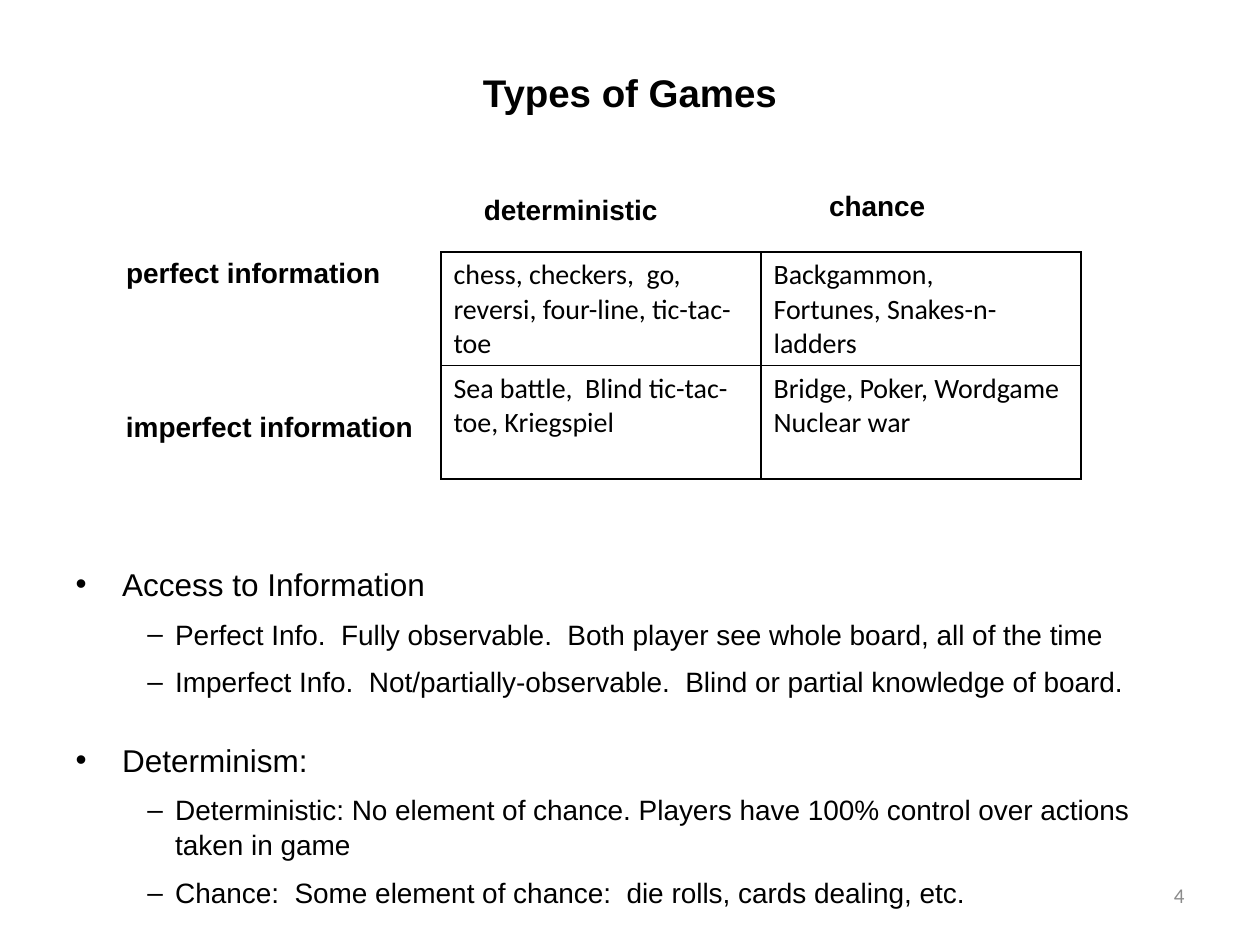
from lxml.etree import SubElement
from pptx import Presentation
from pptx.dml.color import RGBColor
from pptx.enum.text import MSO_ANCHOR, MSO_AUTO_SIZE, PP_ALIGN
from pptx.oxml.ns import qn
from pptx.util import Inches, Pt

TITLE = "Types of Games"
LABELS = [
    ("deterministic", 3.84, 1.53, 1.43),
    ("chance", 6.58, 1.5, 0.8),
    ("perfect information", 1, 2.03, 2.08),
    ("imperfect information", 1, 3.25, 2.34),
]
GAMES = [
    ["chess, checkers,  go, reversi, four-line, tic-tac-toe",
     "Backgammon,\vFortunes, Snakes-n-ladders"],
    ["Sea battle,  Blind tic-tac-toe, Kriegspiel",
     "Bridge, Poker, Wordgame\vNuclear war"],
]
TOPICS = [
    ("Access to Information", [
        "Perfect Info.  Fully observable.  Both player see whole board, all of the time",
        "Imperfect Info.  Not/partially-observable.  Blind or partial knowledge of board.",
    ]),
    ("Determinism:", [
        "Deterministic: No element of chance. Players have 100% control over actions taken in game",
        "Chance:  Some element of chance:  die rolls, cards dealing, etc.",
    ]),
]
PAGE_NUMBER = "4"
LEVELS = [
    {"size": 18, "margin": 0.37, "indent": -0.37, "bullet": "•"},
    {"size": 16, "margin": 0.79, "indent": -0.22, "bullet": "–"},
]
TOPIC_GAP, POINT_GAP = 23, 7.2
COLUMN_WIDTH, ROW_HEIGHT = 2.54, 0.9
BLACK, GRAY = "000000", "8B8B8B"


def color(value):
    return RGBColor.from_string(value)


def place(shape, left, top, width, height):
    shape.left, shape.top = Inches(left), Inches(top)
    shape.width, shape.height = Inches(width), Inches(height)


def add_text(paragraph, text, size, font="Arial", ink=BLACK, bold=False):
    for index, line in enumerate(text.split("\v")):
        if index:
            paragraph.add_line_break()
        run = paragraph.add_run()
        run.text = line
        run.font.name = font
        run.font.size = Pt(size)
        run.font.bold = bold
        run.font.color.rgb = color(ink)


def add_label(slide, text, left, top, width):
    box = slide.shapes.add_textbox(
        Inches(left), Inches(top), Inches(width), Inches(0.27))
    frame = box.text_frame
    frame.margin_left = frame.margin_right = 0
    frame.margin_top = frame.margin_bottom = 0
    add_text(frame.paragraphs[0], text, 16, bold=True)


def add_item(paragraph, text, level, gap):
    style = LEVELS[level]
    paragraph.level = level
    paragraph.space_before = Pt(gap)
    paragraph.line_spacing = 1.05
    properties = paragraph._p.get_or_add_pPr()
    properties.set("marL", str(Inches(style["margin"])))
    properties.set("indent", str(Inches(style["indent"])))
    SubElement(properties, qn("a:buChar"), char=style["bullet"])
    add_text(paragraph, text, style["size"])


def add_borders(cell):
    properties = cell._tc.get_or_add_tcPr()
    for index, side in enumerate(("lnL", "lnR", "lnT", "lnB")):
        line = properties.makeelement(qn("a:" + side), {"w": str(Pt(0.96))})
        fill = SubElement(line, qn("a:solidFill"))
        SubElement(fill, qn("a:srgbClr"), val=BLACK)
        properties.insert(index, line)


def add_games(slide):
    rows, columns = len(GAMES), len(GAMES[0])
    table = slide.shapes.add_table(
        rows, columns, Inches(3.5), Inches(2),
        Inches(COLUMN_WIDTH * columns), Inches(ROW_HEIGHT * rows)).table
    table.first_row = table.horz_banding = False
    for row, texts in enumerate(GAMES):
        for column, text in enumerate(texts):
            cell = table.cell(row, column)
            cell.fill.background()
            add_borders(cell)
            add_text(cell.text_frame.paragraphs[0], text, 16, "Calibri")


def add_topics(body):
    place(body, 0.5, 4.42, 9, 2.28)
    frame = body.text_frame
    frame.auto_size = MSO_AUTO_SIZE.NONE
    for index, (topic, points) in enumerate(TOPICS):
        paragraph = frame.add_paragraph() if index else frame.paragraphs[0]
        add_item(paragraph, topic, 0, TOPIC_GAP if index else 3.6)
        for point in points:
            add_item(frame.add_paragraph(), point, 1, POINT_GAP)


def add_page_number(slide):
    box = slide.shapes.add_textbox(
        Inches(7.17), Inches(6.95), Inches(2.33), Inches(0.4))
    frame = box.text_frame
    frame.word_wrap = True
    frame.vertical_anchor = MSO_ANCHOR.MIDDLE
    paragraph = frame.paragraphs[0]
    paragraph.alignment = PP_ALIGN.RIGHT
    paragraph.line_spacing = Pt(7.7)
    add_text(paragraph, PAGE_NUMBER, 12, "Calibri", GRAY)


def main():
    presentation = Presentation()
    presentation.slide_width, presentation.slide_height = Inches(10), Inches(7.5)
    slide = presentation.slides.add_slide(presentation.slide_layouts[1])
    title = slide.shapes.title
    place(title, 0.5, 0.3, 9, 0.86)
    title.text_frame.auto_size = MSO_AUTO_SIZE.NONE
    title.text_frame.vertical_anchor = MSO_ANCHOR.MIDDLE
    title.text_frame.paragraphs[0].alignment = PP_ALIGN.CENTER
    add_text(title.text_frame.paragraphs[0], TITLE, 22, bold=True)
    add_topics(slide.placeholders[1])
    add_page_number(slide)
    for label in LABELS:
        add_label(slide, *label)
    add_games(slide)
    presentation.save("out.pptx")


if __name__ == "__main__":
    main()
